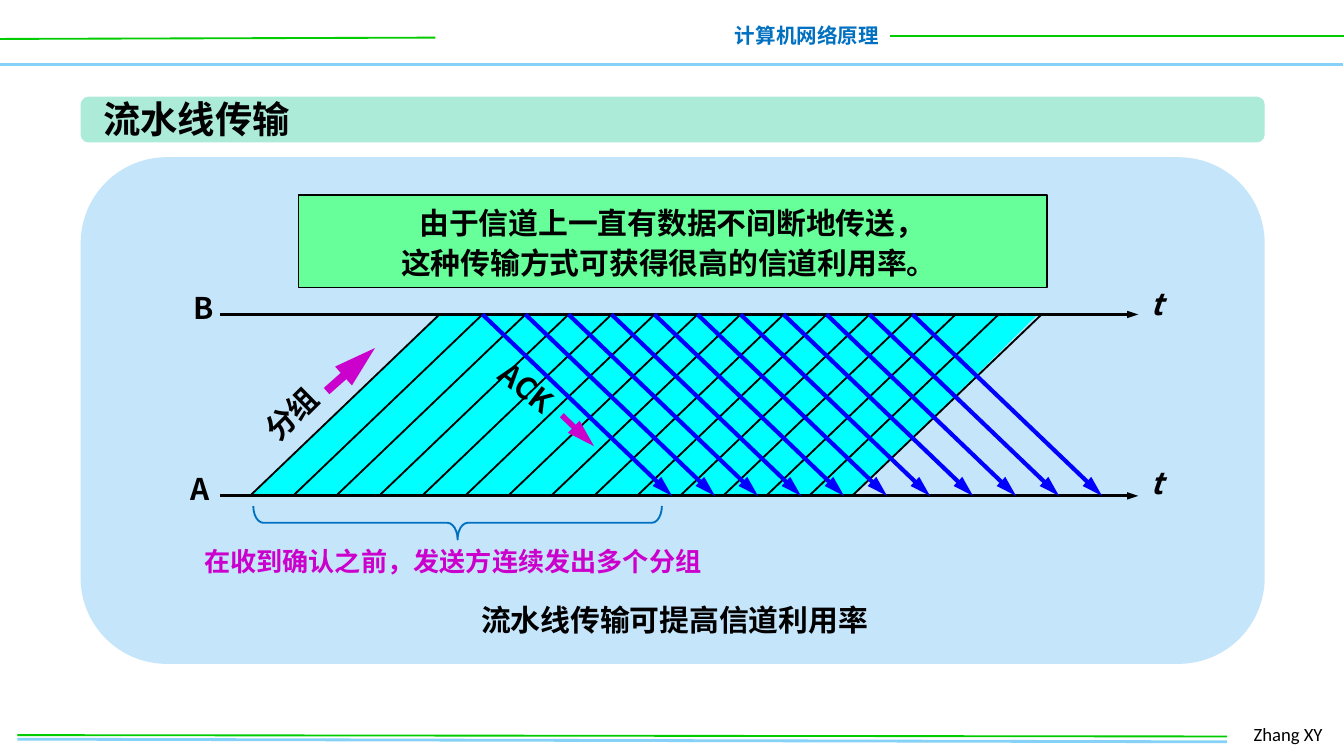
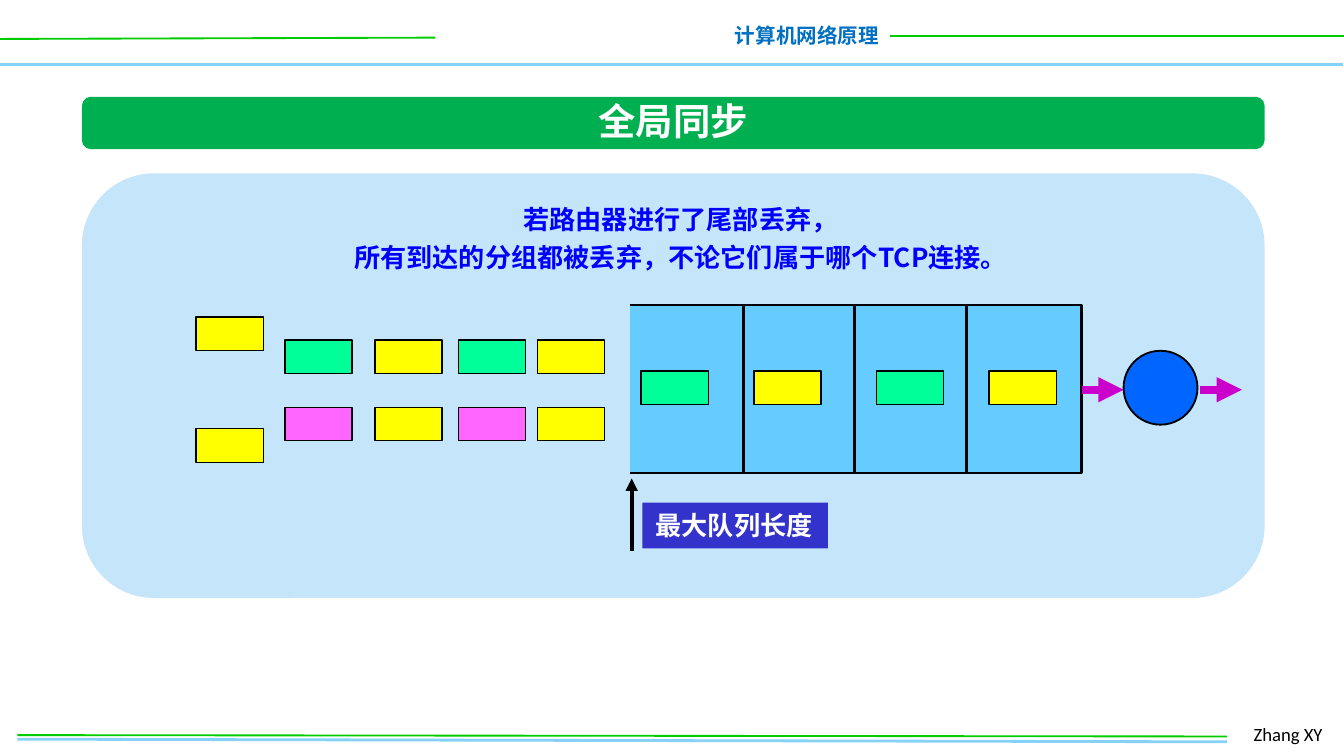
"""Build two slides on pipelined transmission and global synchronisation."""
from dataclasses import dataclass
from typing import Any, Iterable, Optional

from lxml import etree
from pptx import Presentation
from pptx import presentation as pres
from pptx import slide as sld
from pptx import util as u
from pptx.dml import color
from pptx.enum import shapes, text
from pptx.oxml import ns

KIND = shapes.MSO_SHAPE
ALIGN = text.PP_ALIGN
ANCHOR = text.MSO_ANCHOR
MEDIUM = ("med", "med")
LONG = ("med", "lg")
NARROW = ("sm", "med")


@dataclass(frozen=True)
class Theme:
    font: str = "Noto Sans CJK SC"
    footer_font: str = "Calibri"
    black: str = "000000"
    white: str = "FFFFFF"
    sky: str = "85D1F7"
    rule: str = "00CC00"
    heading: str = "0070C0"
    mint: str = "ABEBD7"
    green: str = "00B050"
    panel: str = "C5E5FB"
    note: str = "66FF99"
    cyan: str = "00FFFF"
    blue: str = "0000FF"
    magenta: str = "CC00CC"
    yellow: str = "FFFF00"
    teal: str = "00FF99"
    pink: str = "FF66FF"
    queue: str = "66CCFF"
    router: str = "0066FF"
    tag: str = "3333CC"
    title_size: float = 20
    body_size: float = 16
    small_size: float = 14
    header_size: float = 11
    footer_size: float = 10


T = Theme()


@dataclass(frozen=True)
class Text:
    content: str
    size: float = T.body_size
    color: str = T.black
    align: Any = ALIGN.LEFT
    wrap: bool = False
    spacing: Any = None
    anchor: Any = ANCHOR.TOP
    font: str = T.font
    bold: bool = True
    italic: bool = False


@dataclass(frozen=True)
class Block:
    x: float
    y: float
    w: float
    h: float
    fill: Optional[str] = None
    line: Optional[str] = None
    width: float = 0.75
    kind: Any = KIND.RECTANGLE
    adjust: tuple[float, ...] = ()
    rotation: float = 0
    text: Optional[Text] = None


@dataclass(frozen=True)
class Line:
    x1: float
    y1: float
    x2: float
    y2: float
    color: str = T.black
    width: float = 1
    arrow: Optional[tuple[str, str]] = None


def assign(obj: Any, values: dict[str, Any]) -> None:
    """Set each attribute that has a value."""
    for name, value in values.items():
        if value is not None:
            setattr(obj, name, value)


def rgb(value: str) -> color.RGBColor:
    """Turn a hex string into a colour."""
    return color.RGBColor.from_string(value)


def paint(sp: Any, fill: Optional[str], line: Optional[str], width: float) -> None:
    """Set fill and outline, or clear them."""
    if fill:
        sp.fill.solid()
        sp.fill.fore_color.rgb = rgb(fill)
    else:
        sp.fill.background()
    if line:
        sp.line.color.rgb = rgb(line)
        sp.line.width = u.Pt(width)
    else:
        sp.line.fill.background()


def write(sp: Any, t: Text) -> None:
    """Fill a shape with formatted paragraphs."""
    tf = sp.text_frame
    assign(tf, {"word_wrap": t.wrap, "vertical_anchor": t.anchor,
                "auto_size": text.MSO_AUTO_SIZE.SHAPE_TO_FIT_TEXT})
    for i, content in enumerate(t.content.split("\n")):
        p = tf.add_paragraph() if i else tf.paragraphs[0]
        assign(p, {"alignment": t.align, "line_spacing": t.spacing})
        r = p.add_run()
        r.text = content
        assign(r.font, {"name": t.font, "size": u.Pt(t.size),
                        "bold": t.bold, "italic": t.italic})
        r.font.color.rgb = rgb(t.color)
        ea = etree.SubElement(r.font._element, ns.qn("a:ea"))
        ea.set("typeface", t.font)


def draw_block(s: sld.Slide, b: Block) -> None:
    """Draw a preset shape, or a text box when it has no kind."""
    frame = [u.Inches(v) for v in (b.x, b.y, b.w, b.h)]
    if b.kind is None:
        sp = s.shapes.add_textbox(*frame)
    else:
        sp = s.shapes.add_shape(b.kind, *frame)
        sp.shadow.inherit = False
        for i, value in enumerate(b.adjust):
            sp.adjustments[i] = value
        paint(sp, b.fill, b.line, b.width)
    sp.rotation = b.rotation
    if b.text:
        write(sp, b.text)


def draw_line(s: sld.Slide, ln: Line) -> None:
    """Draw a straight line, with an arrowhead at its end if asked."""
    ends = [u.Inches(v) for v in (ln.x1, ln.y1, ln.x2, ln.y2)]
    c = s.shapes.add_connector(shapes.MSO_CONNECTOR.STRAIGHT, *ends)
    c.line.color.rgb = rgb(ln.color)
    c.line.width = u.Pt(ln.width)
    sp_pr = c._element.spPr
    if ln.arrow:
        tail = etree.SubElement(sp_pr.find(ns.qn("a:ln")), ns.qn("a:tailEnd"))
        for name, value in zip(("type", "w", "len"), ("triangle", *ln.arrow)):
            tail.set(name, value)
    etree.SubElement(sp_pr, ns.qn("a:effectLst"))


def draw(s: sld.Slide, items: Iterable[Any]) -> None:
    """Draw blocks and lines from back to front."""
    for item in items:
        if isinstance(item, Line):
            draw_line(s, item)
        else:
            draw_block(s, item)


def draw_outline(s: sld.Slide, points: list[tuple[float, float]], fill: str,
                 line: Optional[str] = None, close: bool = True) -> None:
    """Draw a filled freeform through the points."""
    spots = [(u.Inches(x), u.Inches(y)) for x, y in points]
    builder = s.shapes.build_freeform(*spots[0])
    builder.add_line_segments(spots[1:], close=close)
    sp = builder.convert_to_shape()
    sp.shadow.inherit = False
    paint(sp, fill, line, 1.5)


def label(x: float, y: float, w: float, h: float, t: Text, rotation: float = 0) -> Block:
    """Describe a plain text box."""
    return Block(x, y, w, h, kind=None, rotation=rotation, text=t)


def add_slide(prs: pres.Presentation, band: Block, title: Block, panel: Block) -> sld.Slide:
    """Add a slide with header, footer, title band and panel."""
    s = prs.slides.add_slide(prs.slide_layouts[6])
    draw(s, [
        Line(-0.01, 0.48, 9.99, 0.48, T.sky, 2),
        Line(0, 0.29, 3.24, 0.28, T.rule),
        label(5.36, 0.12, 1.28, 0.29,
              Text("计算机网络原理", T.header_size, T.heading, ALIGN.RIGHT)),
        Line(6.62, 0.27, 10.01, 0.27, T.rule),
        Line(0.13, 5.5, 9.13, 5.52, T.sky, 1.5),
        label(9.23, 5.33, 0.74, 0.27,
              Text("Zhang XY", T.footer_size, wrap=True, font=T.footer_font, bold=False)),
        Line(0.13, 5.47, 9.13, 5.48, T.rule),
        band, title, panel,
    ])
    return s


def rounded(x: float, y: float, w: float, h: float, fill: str, corner: float = 0.17) -> Block:
    """Describe a rounded rectangle without outline."""
    return Block(x, y, w, h, fill, kind=KIND.ROUNDED_RECTANGLE, adjust=(corner,))


def pipeline_slide(prs: pres.Presentation) -> None:
    """Build the pipelined transmission slide."""
    s = add_slide(prs, rounded(0.6, 0.72, 8.81, 0.34, T.mint),
                  label(0.67, 0.67, 1.6, 0.44, Text("流水线传输", T.title_size)),
                  rounded(0.6, 1.17, 8.81, 3.77, T.panel))
    b_y, a_y, step, delay = 2.34, 3.69, 0.32, 1.41
    first_packet, packets, first_ack, acks = 1.86, 15, 3.59, 11
    draw(s, [Block(2.22, 1.45, 5.57, 0.69, T.note, T.black, text=Text(
        "由于信道上一直有数据不间断地传送，\n这种传输方式可获得很高的信道利用率。 ",
        align=ALIGN.CENTER, wrap=True, spacing=1.1))])
    draw_outline(s, [(1.87, a_y), (3.26, b_y), (7.72, b_y), (6.35, a_y)], T.cyan)
    draw(s, [Line(1.64, y, 8.47, y, width=1.5, arrow=NARROW) for y in (a_y, b_y)])
    starts = [first_packet + step * i for i in range(packets)]
    draw(s, [Line(x, a_y, x + delay, b_y) for x in starts])
    replies = [first_ack + step * i for i in range(acks)]
    draw(s, [Line(x, b_y, x + delay, a_y, T.blue, 2.25, LONG) for x in replies])
    axis = Text("t", italic=True)
    draw(s, [
        label(1.34, 2.11, 0.36, 0.37, Text("B")),
        label(1.32, 3.45, 0.37, 0.37, Text("A")),
        label(8.46, 2.08, 0.29, 0.37, axis),
        label(8.46, 3.41, 0.29, 0.37, axis),
        label(1.85, 2.89, 0.65, 0.37, Text("分组"), 315.3),
        Line(2.43, 2.91, 2.79, 2.59, T.magenta, 4.5, LONG),
        label(3.6, 2.71, 0.67, 0.37, Text("ACK"), 37.8),
        Line(4.18, 3.09, 4.42, 3.32, T.magenta, 3, LONG),
        label(1.43, 4.43, 7.18, 0.37,
              Text("流水线传输可提高信道利用率", align=ALIGN.CENTER, wrap=True)),
        Block(3.28, 2.37, 0.25, 3.04, line=T.heading, width=1, kind=KIND.LEFT_BRACE,
              adjust=(0.3, 0.5), rotation=270),
        label(1.42, 4.01, 3.93, 0.34,
              Text("在收到确认之前，发送方连续发出多个分组", T.small_size, T.magenta)),
    ])


def packet(x: float, y: float, fill: str) -> Block:
    """Describe one packet."""
    return Block(x, y, 0.5, 0.25, fill, T.black)


def sync_slide(prs: pres.Presentation) -> None:
    """Build the global synchronisation slide."""
    s = add_slide(prs, rounded(0.61, 0.72, 8.8, 0.39, T.green),
                  label(4.35, 0.68, 1.32, 0.44,
                        Text("全局同步", T.title_size, T.white, ALIGN.CENTER)),
                  rounded(0.61, 1.29, 8.8, 3.16, T.panel))
    columns = (2.12, 2.79, 3.41, 4)
    for y, tint in ((2.53, T.teal), (3.03, T.pink)):
        draw(s, [packet(x, y, (tint, T.yellow)[i % 2]) for i, x in enumerate(columns)])
    draw(s, [packet(1.46, y, T.yellow) for y in (2.36, 3.19)])
    draw(s, [label(1.81, 1.42, 6.51, 0.66, Text(
        "若路由器进行了尾部丢弃，\n所有到达的分组都被丢弃，不论它们属于哪个TCP连接。",
        T.small_size, T.blue, ALIGN.CENTER, True, u.Pt(20), ANCHOR.MIDDLE))])
    left, right, top, bottom, mid = 4.69, 8.05, 2.27, 3.52, 2.9
    draw_outline(s, [(left, bottom), (right, bottom), (right, top), (left, top)],
                 T.queue, T.black, close=False)
    dividers = [5.53 + 0.83 * i for i in range(3)]
    draw(s, [Line(x, top, x, bottom, width=1.5) for x in dividers])
    draw(s, [Line(x, mid, x + 0.31, mid, T.magenta, 4.5, MEDIUM) for x in (right, 8.93)])
    draw(s, [Block(8.36, 2.61, 0.55, 0.55, T.router, T.black, 1, KIND.OVAL)])
    draw(s, [packet(x, 2.76, (T.teal, T.yellow)[i % 2])
             for i, x in enumerate((4.77, 5.61, 6.52, 7.36))])
    draw(s, [
        Line(4.7, 4.1, 4.7, 3.56, width=2.25, arrow=MEDIUM),
        Block(4.78, 3.74, 1.38, 0.34, T.tag,
              text=Text("最大队列长度", T.small_size, T.white)),
    ])


def main() -> None:
    """Create and save the presentation."""
    prs = Presentation()
    assign(prs, {"slide_width": u.Inches(10), "slide_height": u.Inches(10 * 9 / 16)})
    pipeline_slide(prs)
    sync_slide(prs)
    prs.save("out.pptx")


if __name__ == "__main__":
    main()
